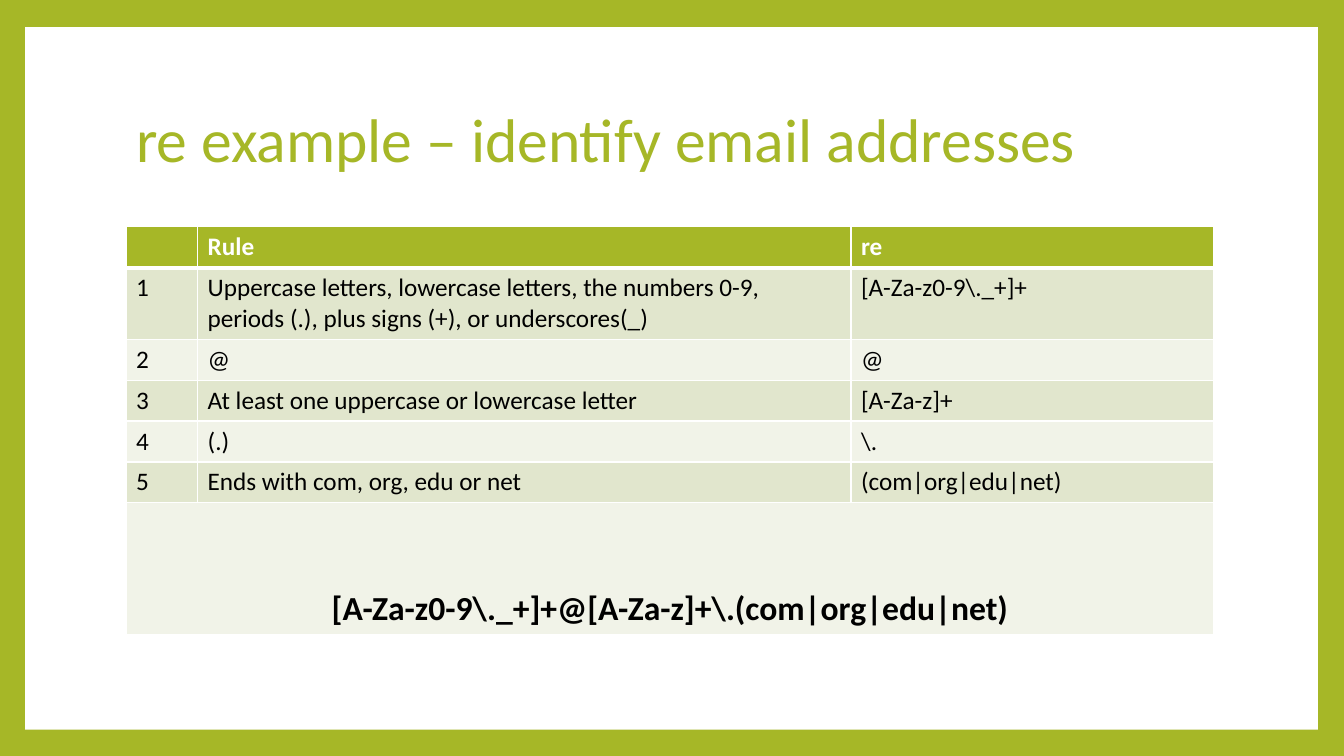
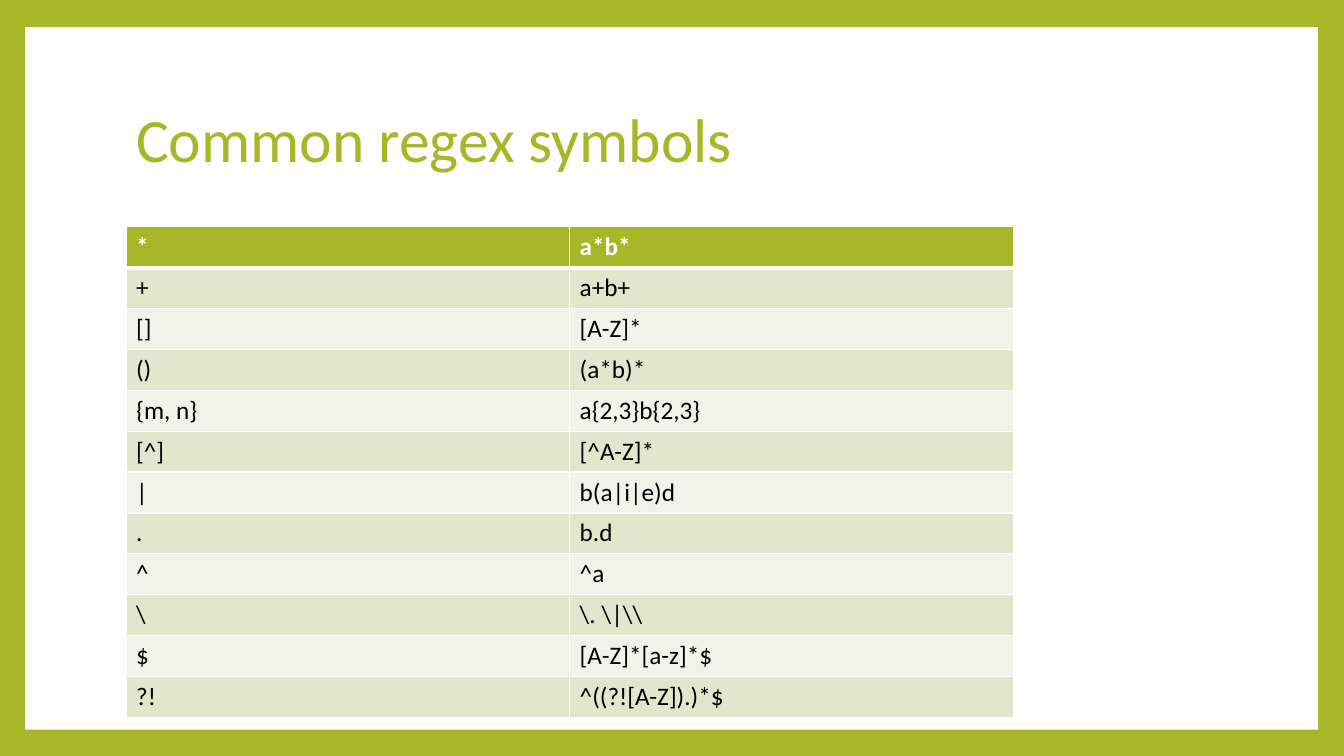
from dataclasses import dataclass

from lxml import etree
from pptx import Presentation
from pptx.dml.color import RGBColor
from pptx.enum import shapes, text
from pptx.oxml import ns
from pptx.util import Inches, Pt


@dataclass(frozen=True)
class Theme:
    font: str = "Calibri"
    accent: str = "A6B727"
    paper: str = "FFFFFF"
    ink: str = "000000"
    bands: tuple = ("E1E6CD", "F1F3E8")
    title_size: int = 44
    body_size: int = 18
    formula_size: int = 24
    rule_width: int = 1
    header_rule_width: int = 3


THEME = Theme()
TITLE_ONLY = 5
LEFT, TABLE_TOP = Inches(1.25), Inches(2.25)
ROW_HEIGHT = Inches(4.87) // 12
TWO_LINE_HEIGHT = Inches(0.7)
FORMULA_HEIGHT = Inches(1.31)

EMAIL_TITLE = "re example – identify email addresses"
EMAIL_WIDTHS = (0.71, 6.48, 3.6)
EMAIL_RULES = [
    ("", "Rule", "re"),
    ("1", "Uppercase letters, lowercase letters, the numbers 0-9, "
          "periods (.), plus signs (+), or underscores(_)", r"[A-Za-z0-9\._+]+"),
    ("2", "@", "@"),
    ("3", "At least one uppercase or lowercase letter", "[A-Za-z]+"),
    ("4", "(.)", r"\."),
    ("5", "Ends with com, org, edu or net", "(com|org|edu|net)"),
]
EMAIL_FORMULA = "".join(row[-1] for row in EMAIL_RULES[1:])

SYMBOLS_TITLE = "Common regex symbols"
SYMBOLS_WIDTHS = (4.4, 4.4)
SYMBOLS = [
    ("*", "a*b*"),
    ("+", "a+b+"),
    ("[]", "[A-Z]*"),
    ("()", "(a*b)*"),
    ("{m, n}", "a{2,3}b{2,3}"),
    ("[^]", "[^A-Z]*"),
    ("|", "b(a|i|e)d"),
    (".", "b.d"),
    ("^", "^a"),
    ("\\", r"\. \|\\"),
    ("$", "[A-Z]*[a-z]*$"),
    ("?!", "^((?![A-Z]).)*$"),
]


def rgb(value):
    return RGBColor.from_string(value)


def paint(fill, color):
    fill.solid()
    fill.fore_color.rgb = rgb(color)


def add_run(p, words, size, color, bold=False):
    r = p.add_run()
    r.text = words
    r.font.name = THEME.font
    r.font.size = Pt(size)
    r.font.bold = bold
    r.font.color.rgb = rgb(color)


def frame_layout(layout, slide):
    """Give the layout its coloured frame; the panel is made on slide, then moved."""
    paint(layout.background.fill, THEME.accent)
    panel = slide.shapes.add_shape(
        shapes.MSO_SHAPE.RECTANGLE,
        Inches(0.25), Inches(0.27), Inches(12.82), Inches(6.97))
    panel.shadow.inherit = False
    paint(panel.fill, THEME.paper)
    panel.line.fill.background()
    layout.shapes.element.insert(2, panel.element)


def set_title(slide, words):
    title = slide.shapes.title
    title.left, title.top = LEFT, Inches(0.67)
    title.width, title.height = Inches(10.8), Inches(1.48)
    tf = title.text_frame
    tf.word_wrap = True
    tf.vertical_anchor = text.MSO_ANCHOR.MIDDLE
    p = tf.paragraphs[0]
    p.alignment = text.PP_ALIGN.LEFT
    p.line_spacing = 0.9
    add_run(p, words, THEME.title_size, THEME.accent)


def style_cell(cell, row):
    """Set borders, then fill: the order the file format asks for."""
    props = cell._tc.get_or_add_tcPr()
    for side in "LRTB":
        thick = (row, side) in ((0, "B"), (1, "T"))
        width = THEME.header_rule_width if thick else THEME.rule_width
        line = etree.SubElement(props, ns.qn(f"a:ln{side}"), w=str(Pt(width)))
        solid = etree.SubElement(line, ns.qn("a:solidFill"))
        etree.SubElement(solid, ns.qn("a:srgbClr"), val=THEME.paper)
    paint(cell.fill, THEME.bands[(row - 1) % 2] if row else THEME.accent)


def add_table(slide, rows, widths, heights):
    """Add a banded table; heights beyond the rows of text leave blank rows."""
    table = slide.shapes.add_table(
        len(heights), len(widths), LEFT, TABLE_TOP,
        Inches(sum(widths)), sum(heights)).table
    for column, width in zip(table.columns, widths):
        column.width = Inches(width)
    for i, height in enumerate(heights):
        table.rows[i].height = height
        for j in range(len(widths)):
            style_cell(table.cell(i, j), i)
    for i, row in enumerate(rows):
        for j, words in enumerate(row):
            if words:
                add_run(table.cell(i, j).text_frame.paragraphs[0], words,
                        THEME.body_size, THEME.ink if i else THEME.paper, i == 0)
    return table


def add_email_table(slide):
    heights = [ROW_HEIGHT] * len(EMAIL_RULES) + [FORMULA_HEIGHT]
    heights[1] = TWO_LINE_HEIGHT
    table = add_table(slide, EMAIL_RULES, EMAIL_WIDTHS, heights)
    last = len(heights) - 1
    formula = table.cell(last, 0)
    formula.merge(table.cell(last, len(EMAIL_WIDTHS) - 1))
    formula.vertical_anchor = text.MSO_ANCHOR.BOTTOM
    p = formula.text_frame.paragraphs[0]
    p.alignment = text.PP_ALIGN.CENTER
    add_run(p, EMAIL_FORMULA, THEME.formula_size, THEME.ink, True)


def add_symbols_table(slide):
    add_table(slide, SYMBOLS, SYMBOLS_WIDTHS, [ROW_HEIGHT] * len(SYMBOLS))


def main():
    prs = Presentation()
    prs.slide_width, prs.slide_height = Inches(13.33), Inches(7.5)
    layout = prs.slide_layouts[TITLE_ONLY]
    for words, add_content in ((EMAIL_TITLE, add_email_table),
                               (SYMBOLS_TITLE, add_symbols_table)):
        slide = prs.slides.add_slide(layout)
        set_title(slide, words)
        add_content(slide)
    frame_layout(layout, prs.slides[0])
    prs.save("out.pptx")


if __name__ == "__main__":
    main()
